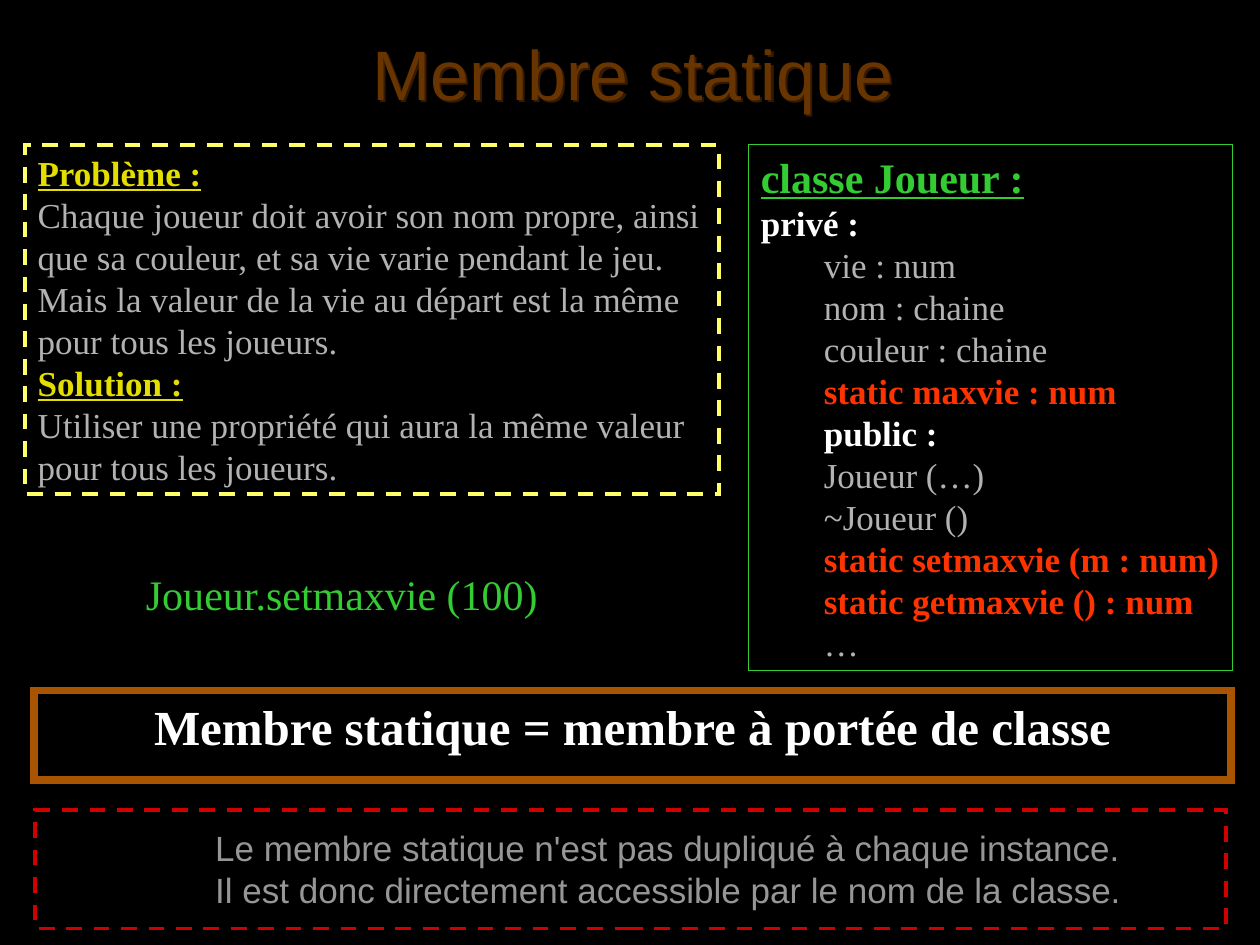
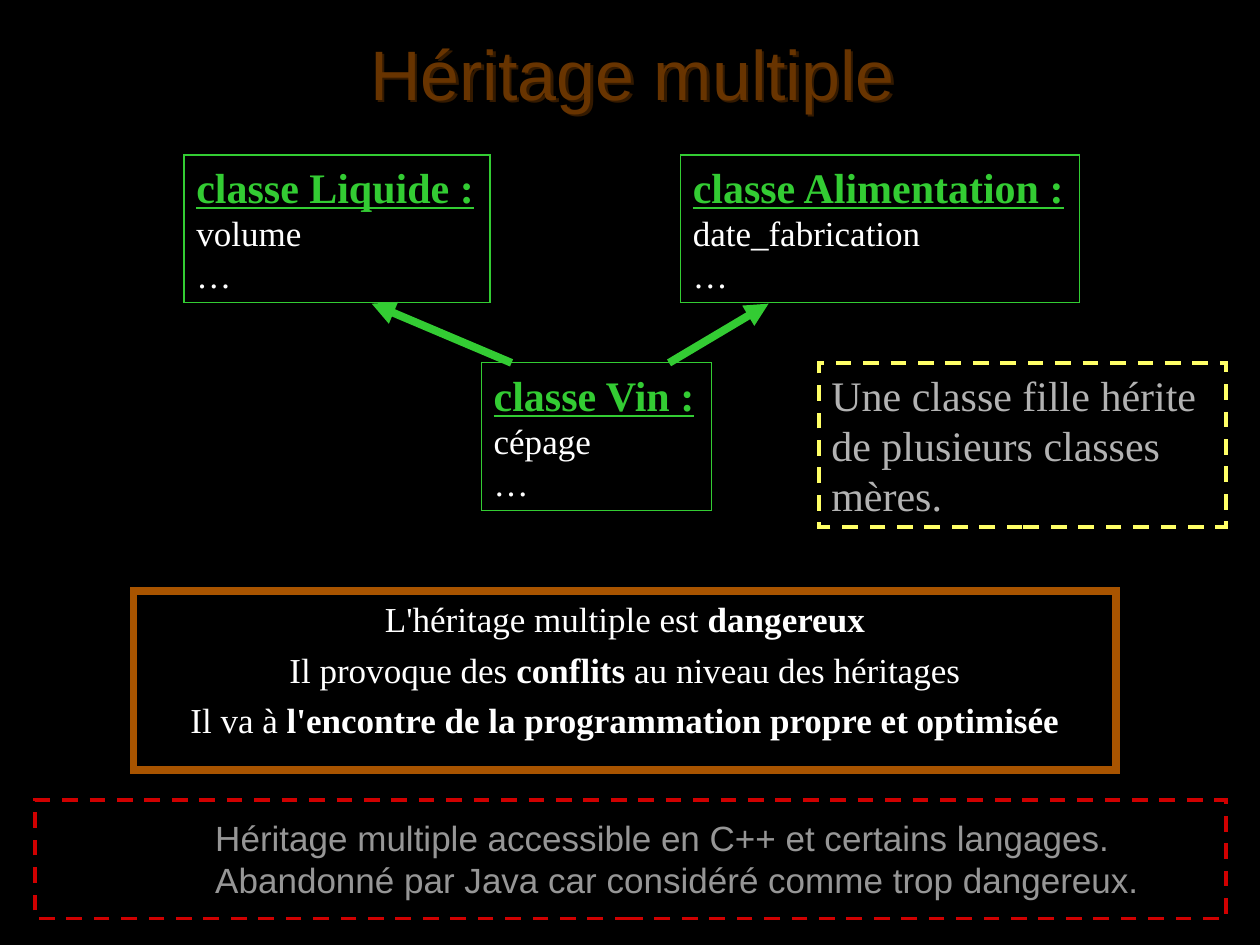
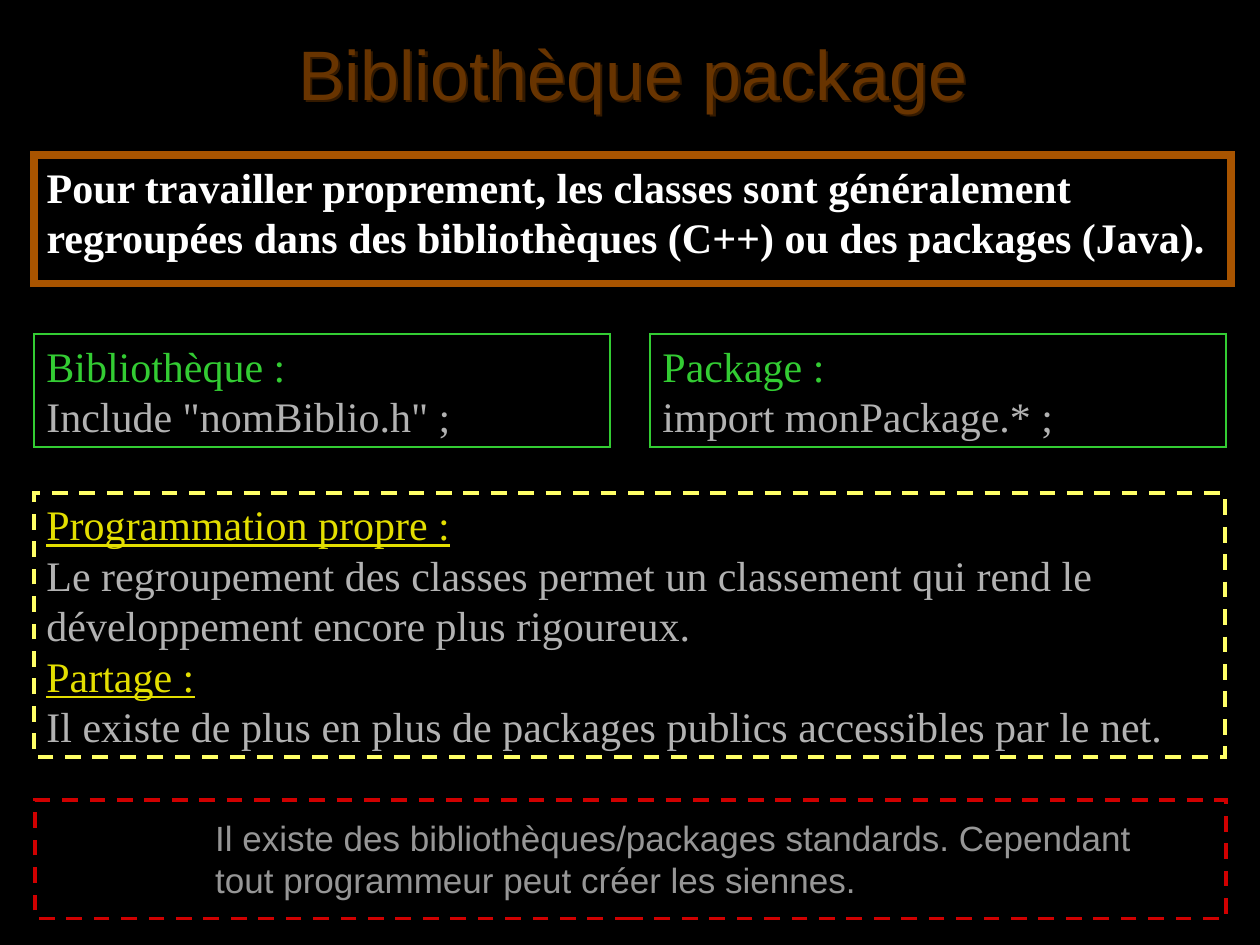
from lxml.etree import SubElement
from pptx import Presentation
from pptx.dml.color import RGBColor
from pptx.enum.dml import MSO_LINE
from pptx.enum.shapes import MSO_CONNECTOR, MSO_SHAPE
from pptx.enum.text import MSO_ANCHOR, MSO_AUTO_SIZE, PP_ALIGN
from pptx.oxml.ns import qn
from pptx.util import Inches, Pt

# Shared palette and fonts
BLACK, WHITE, GREY, ASH = "000000", "FFFFFF", "B2B2B2", "969696"
GREEN, RED, GOLD, BROWN = "33CC33", "FF3300", "E3DE00", "683400"
YELLOW, ORANGE, CRIMSON, SHADE = "FFFF66", "A85400", "D00000", "341A00"
SANS, SERIF = "Arial", "Times New Roman"
LEFT, WIDE = 0.27, 9.5

# Text styles: size, colour, bold, underline
TEXT = (20, GREY, False, False)
LARGE = (24, GREY, False, False)
PLAIN = (20, WHITE, False, False)
STRONG = (20, WHITE, True, False)
STATIC = (20, RED, True, False)
CLASS = (24, GREEN, True, True)
CODE = (24, GREEN, False, False)
TOPIC = (20, GOLD, True, True)
THEME = (24, GOLD, False, True)
NOTE = (20, ASH, False, False)


def color(code):
    return RGBColor.from_string(code)


def inches(box):
    return [Inches(side) for side in box]


def style(run, look, face=SERIF):
    size, hue, bold, under = look
    font = run.font
    font.name, font.size = face, Pt(size)
    font.bold, font.underline = bold, under
    font.color.rgb = color(hue)


def border(shape, hue, weight, dashed=False):
    shape.line.color.rgb = color(hue)
    shape.line.width = Pt(weight)
    if dashed:
        shape.line.dash_style = MSO_LINE.DASH
    # Square corners
    SubElement(shape.line._get_or_add_ln(), qn("a:miter"), lim="800000")


def write(shape, rows, face=SERIF, wrap=True):
    """Fill a shape with rows of (text, style) or (text, style, indent)."""
    frame = shape.text_frame
    frame.word_wrap = wrap
    frame.auto_size = MSO_AUTO_SIZE.SHAPE_TO_FIT_TEXT
    frame.vertical_anchor = MSO_ANCHOR.TOP
    frame.text = "\n".join(row[0] for row in rows)
    for para, (_, look, *indent) in zip(frame.paragraphs, rows):
        para.alignment = PP_ALIGN.LEFT
        if indent:
            para._p.get_or_add_pPr().set("marL", str(Inches(indent[0])))
        style(para.runs[0], look, face)


def panel(slide, box, hue, weight, dashed=False):
    shape = slide.shapes.add_shape(MSO_SHAPE.RECTANGLE, *inches(box))
    shape.shadow.inherit = False
    shape.fill.background()
    border(shape, hue, weight, dashed)
    return shape


def remark(slide, box, rows):
    write(panel(slide, box, YELLOW, 2.25, True), rows)


def label(slide, box, rows, face=SERIF, wrap=True):
    write(slide.shapes.add_textbox(*inches(box)), rows, face, wrap)


def card(slide, box, name, rows):
    rows = [(f"classe {name} :", CLASS), *rows]
    write(panel(slide, box, GREEN, 0.75), rows, wrap=False)


def footer(slide, top, lines):
    left, width, height = 0.28, 9.45, 0.94
    label(slide, (left + 1.33, top + 0.08, width - 1.5, height - 0.17),
          [(line, NOTE) for line in lines], SANS)
    panel(slide, (left, top, width, height), CRIMSON, 2.25, True)


def arrow(slide, start, end):
    line = slide.shapes.add_connector(MSO_CONNECTOR.STRAIGHT, *inches(start + end))
    border(line, GREEN, 4.5)
    SubElement(line.line._get_or_add_ln(), qn("a:tailEnd"), type="triangle")
    SubElement(line._element.spPr, qn("a:effectLst"))


def place(shape, box):
    shape.left, shape.top, shape.width, shape.height = inches(box)
    shape.text_frame.auto_size = MSO_AUTO_SIZE.NONE


def title(slide, text):
    shape = slide.shapes.title
    place(shape, (LEFT, 0.13, WIDE, 0.89))
    frame = shape.text_frame
    frame.vertical_anchor = MSO_ANCHOR.MIDDLE
    frame.text = text
    para = frame.paragraphs[0]
    para.alignment = PP_ALIGN.CENTER
    style(para.runs[0], (40, BROWN, False, False), SANS)
    # Shadow cast by the letters
    shape.fill.background()
    effects = SubElement(shape._element.spPr, qn("a:effectLst"))
    shadow = SubElement(effects, qn("a:outerShdw"),
                        dist=str(Pt(2)), dir="2700000", algn="ctr")
    SubElement(shadow, qn("a:srgbClr"), val=SHADE)


def body(slide, box, lines, size, bold=False, align=PP_ALIGN.CENTER):
    """Framed message; text after a bar in a line toggles bold."""
    shape = slide.placeholders[1]
    place(shape, box)
    border(shape, ORANGE, 4.5)
    frame = shape.text_frame
    frame.vertical_anchor = MSO_ANCHOR.TOP
    for row, line in enumerate(lines):
        para = frame.add_paragraph() if row else frame.paragraphs[0]
        props = para._p.get_or_add_pPr()
        props.set("marL", "0")
        props.set("indent", "0")
        SubElement(props, qn("a:buNone"))
        para.alignment = align
        para.space_before = Pt(5 if row else 0)
        for part, text in enumerate(line.split("|")):
            run = para.add_run()
            run.text = text
            style(run, (size, WHITE, bold or part % 2 == 1, False))


def begin(deck, text):
    slide = deck.slides.add_slide(deck.slide_layouts[1])
    title(slide, text)
    return slide


def member(deck):
    slide = begin(deck, "Membre statique")
    remark(slide, (0.2, 1.15, 5.51, 2.77), [
        ("Problème :", TOPIC),
        ("Chaque joueur doit avoir son nom propre, ainsi que sa couleur, "
         "et sa vie varie pendant le jeu.", TEXT),
        ("Mais la valeur de la vie au départ est la même pour tous les joueurs.", TEXT),
        ("Solution :", TOPIC),
        ("Utiliser une propriété qui aura la même valeur pour tous les joueurs.", TEXT),
    ])
    items = [
        ("vie : num", TEXT), ("nom : chaine", TEXT), ("couleur : chaine", TEXT),
        ("static maxvie : num", STATIC), ("public :", STRONG),
        ("Joueur (…)", TEXT), ("~Joueur ()", TEXT),
        ("static setmaxvie (m : num)", STATIC),
        ("static getmaxvie () : num", STATIC), ("…", TEXT),
    ]
    card(slide, (5.94, 1.15, 3.84, 4.17), "Joueur",
         [("privé :", STRONG)] + [(*item, 0.5) for item in items])
    label(slide, (1.06, 4.46, 3.33, 0.5), [("Joueur.setmaxvie (100)", CODE)], wrap=False)
    body(slide, (LEFT, 5.48, WIDE, 0.71),
         ["Membre statique = membre à portée de classe"], 28, True)
    footer(slide, 6.43, [
        "Le membre statique n'est pas dupliqué à chaque instance.",
        "Il est donc directement accessible par le nom de la classe.",
    ])


def heritage(deck):
    slide = begin(deck, "Héritage multiple")
    high, low, tall = 1.23, 2.88, 1.17
    for left, top, width, name, field in (
        (1.46, high, 2.43, "Liquide", "volume"),
        (5.4, high, 3.17, "Alimentation", "date_fabrication"),
        (3.82, low, 1.83, "Vin", "cépage"),
    ):
        card(slide, (left, top, width, tall), name, [(field, PLAIN), ("…", PLAIN)])
    for start, end in ((4.06, 2.95), (5.31, 6.1)):
        arrow(slide, (start, low), (end, high + tall + 0.01))
    remark(slide, (6.5, low, 3.23, 1.3),
           [("Une classe fille hérite de plusieurs classes mères.", LARGE)])
    body(slide, (1.06, 4.69, 7.8, 1.42), [
        "L'héritage multiple est| dangereux",
        "Il provoque des| conflits |au niveau des héritages",
        "Il va à| l'encontre de la programmation propre et optimisée",
    ], 20)
    footer(slide, 6.35, [
        "Héritage multiple accessible en C++ et certains langages.",
        "Abandonné par Java car considéré comme trop dangereux.",
    ])


def library(deck):
    slide = begin(deck, "Bibliothèque package")
    body(slide, (LEFT, 1.23, WIDE, 1.02), [
        "Pour travailler proprement, les classes sont généralement regroupées "
        "dans des bibliothèques (C++) ou des packages (Java).",
    ], 24, True, PP_ALIGN.LEFT)
    pairs = (("Bibliothèque :", 'Include "nomBiblio.h" ;'),
             ("Package :", "import monPackage.* ;"))
    for col, (head, code) in enumerate(pairs):
        box = panel(slide, (LEFT + col * 4.89, 2.65, 4.57, 0.9), GREEN, 1)
        write(box, [(head, CODE), (code, LARGE)])
    remark(slide, (LEFT, 3.91, 9.45, 2.1), [
        ("Programmation propre :", THEME),
        ("Le regroupement des classes permet un classement qui rend le "
         "développement encore plus rigoureux.", LARGE),
        ("Partage :", THEME),
        ("Il existe de plus en plus de packages publics accessibles par le net.", LARGE),
    ])
    footer(slide, 6.35, [
        "Il existe des bibliothèques/packages standards. Cependant tout "
        "programmeur peut créer les siennes.",
    ])


def main():
    deck = Presentation()
    deck.slide_width, deck.slide_height = Inches(10), Inches(7.5)
    back = deck.slide_master.background.fill
    back.solid()
    back.fore_color.rgb = color(BLACK)
    for build in (member, heritage, library):
        build(deck)
    deck.save("out.pptx")


if __name__ == "__main__":
    main()
